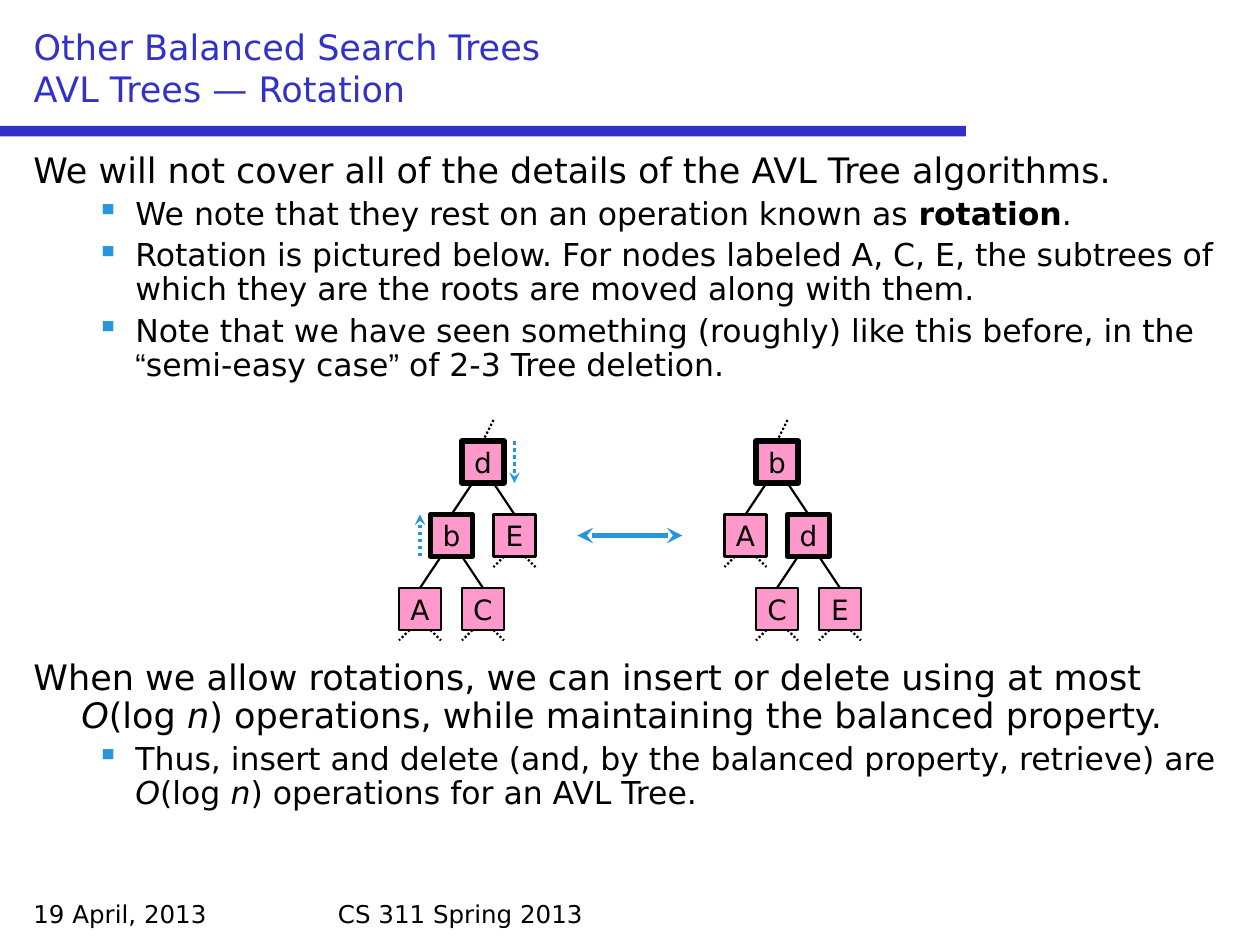
"""Build a slide on rotation in AVL trees."""
from lxml.etree import SubElement
from pptx import Presentation
from pptx.dml.color import RGBColor
from pptx.enum.dml import MSO_LINE_DASH_STYLE as Dash
from pptx.enum.shapes import MSO_CONNECTOR as Connector, MSO_SHAPE as Shape
from pptx.enum.text import MSO_ANCHOR as Anchor, MSO_AUTO_SIZE as AutoSize, PP_ALIGN as Align
from pptx.oxml.ns import qn
from pptx.util import Inches, Pt

FONT, BLACK, BLUE, SKY, PINK = "DejaVu Sans", "000000", "3232C8", "2896DC", "FF99CC"
UNIT = Inches(1) // 12
NODE, LEVEL_GAP = 4, 7

deck = Presentation()
deck.slide_width, deck.slide_height = 120 * UNIT, 90 * UNIT
page = deck.slides.add_slide(deck.slide_layouts[5])


def style(span, size, color=BLACK, name=FONT):
    span.font.size, span.font.name = Pt(size), name
    span.font.color.rgb = RGBColor.from_string(color)


def draw_line(start, end, color=BLACK, width=1.25, dotted=False, heads=()):
    points = [value * UNIT for value in start + end]
    line = page.shapes.add_connector(Connector.STRAIGHT, *points)
    line.line.color.rgb = RGBColor.from_string(color)
    line.line.width = Pt(width)
    if dotted:
        line.line.dash_style = Dash.ROUND_DOT
    properties = line._element.spPr
    for head in heads:
        SubElement(properties.find(qn("a:ln")), qn(head), type="stealth")
    SubElement(properties, qn("a:effectLst"))
    return line


rule = page.shapes.add_shape(Shape.RECTANGLE, 0, 12 * UNIT, 92 * UNIT, UNIT)
rule.shadow.inherit = False
rule.fill.solid()
rule.fill.fore_color.rgb = RGBColor.from_string(BLUE)
rule.line.fill.background()

title = page.shapes.title
title.left, title.top, title.width, title.height = 2 * UNIT, 2 * UNIT, 116 * UNIT, 9 * UNIT
frame = title.text_frame
frame.text = "Other Balanced Search Trees\vAVL Trees — Rotation"
frame.vertical_anchor, frame.auto_size = Anchor.BOTTOM, AutoSize.NONE
frame.paragraphs[0].alignment = Align.LEFT
for span in frame.paragraphs[0].runs:
    style(span, 20, BLUE)

for column, width, text in [(2, 28, "19 April, 2013"), (31, 58, "CS 311 Spring 2013")]:
    box = page.shapes.add_textbox(column * UNIT, 85 * UNIT, width * UNIT, 4 * UNIT)
    box.text_frame.word_wrap = True
    box.text_frame.text = text
    style(box.text_frame.paragraphs[0].runs[0], 14)

LOG_N = [("O", "italic"), ("(log ", ""), ("n", "italic")]
paragraphs = [
    (0, 4.66, [("We will not cover all of the details of the AVL Tree algorithms.", "")]),
    (1, 4.2, [("We note that they rest on an operation known as ", ""),
              ("rotation", "bold"), (".", "")]),
    (1, 4.2, [("Rotation is pictured below. For nodes labeled A, C, E, the subtrees of "
               "which they are the roots are moved along with them.", "")]),
    (1, 4.2, [("Note that we have seen something (roughly) like this before, in the ", ""),
              ("“", "Arial"), ("semi-easy case", ""), ("”", "Arial"),
              (" of 2-3 Tree deletion.", "")]),
    (0, 158.3, [("When we allow rotations, we can insert or delete using at most ", ""),
                *LOG_N, (") operations, while maintaining the balanced property.", "")]),
    (1, 4.2, [("Thus, insert and delete (and, by the balanced property, retrieve) are ", ""),
              *LOG_N, (") operations for an AVL Tree.", "")]),
]
body = page.shapes.add_textbox(2 * UNIT, 14 * UNIT, 116 * UNIT, 70 * UNIT)
frame = body.text_frame
frame.word_wrap = True
for index, (level, space, spans) in enumerate(paragraphs):
    para = frame.add_paragraph() if index else frame.paragraphs[0]
    para.level, para.line_spacing, para.space_before = level, 0.9, Pt(space)
    properties = para._p.get_or_add_pPr()
    margin, indent = [(0.38, -0.38), (0.81, -0.31)][level]
    properties.set("marL", str(Inches(margin)))
    properties.set("indent", str(Inches(indent)))
    if level:
        SubElement(SubElement(properties, qn("a:buClr")), qn("a:srgbClr"), val=SKY)
        SubElement(properties, qn("a:buChar"), char="▪")
    for text, look in spans:
        span = para.add_run()
        span.text = text
        style(span, [20, 18][level], name="Arial" if look == "Arial" else FONT)
        if look == "bold":
            span.font.bold = True
        if look == "italic":
            span.font.italic = True

# name, horizontal offset from the root, level, parent's position in the list
trees = [
    (46, [("d", 0, 0, None), ("b", -3, 1, 0), ("E", 3, 1, 0), ("A", -6, 2, 1), ("C", 0, 2, 1)]),
    (74, [("b", 0, 0, None), ("A", -3, 1, 0), ("d", 3, 1, 0), ("C", 0, 2, 2), ("E", 6, 2, 2)]),
]
for root, nodes in trees:
    parents = {parent for *_, parent in nodes}
    for index, (name, offset, level, parent) in enumerate(nodes):
        center, top = root + offset, 42 + LEVEL_GAP * level
        bottom = top + NODE
        box = page.shapes.add_shape(Shape.RECTANGLE, (center - NODE // 2) * UNIT, top * UNIT,
                                    NODE * UNIT, NODE * UNIT)
        box.shadow.inherit = False
        box.fill.solid()
        box.fill.fore_color.rgb = RGBColor.from_string(PINK)
        box.line.color.rgb = RGBColor.from_string(BLACK)
        box.line.width = Pt(3 if index in parents else 1.25)
        frame = box.text_frame
        frame.text, frame.word_wrap, frame.vertical_anchor = name, False, Anchor.MIDDLE
        frame.paragraphs[0].alignment = Align.CENTER
        style(frame.paragraphs[0].runs[0], 16)
        if parent is None:
            branch = draw_line((center + 1, top - 2), (center, top), dotted=True)
        else:
            parent_center = root + nodes[parent][1]
            side = 1 if center > parent_center else -1
            branch = draw_line((parent_center + side, top - LEVEL_GAP + NODE), (center, top))
        branch.end_connect(box, 0)
        if index not in parents:
            for side in (-1, 1):
                draw_line((center + side, bottom), (center + 2 * side, bottom + 1), dotted=True)

draw_line((55, 51), (65, 51), SKY, 3, heads=("a:headEnd", "a:tailEnd"))
draw_line((40, 53), (40, 49), SKY, 2, True, ("a:tailEnd",))
draw_line((49, 42), (49, 46), SKY, 2, True, ("a:tailEnd",))

deck.save("out.pptx")
